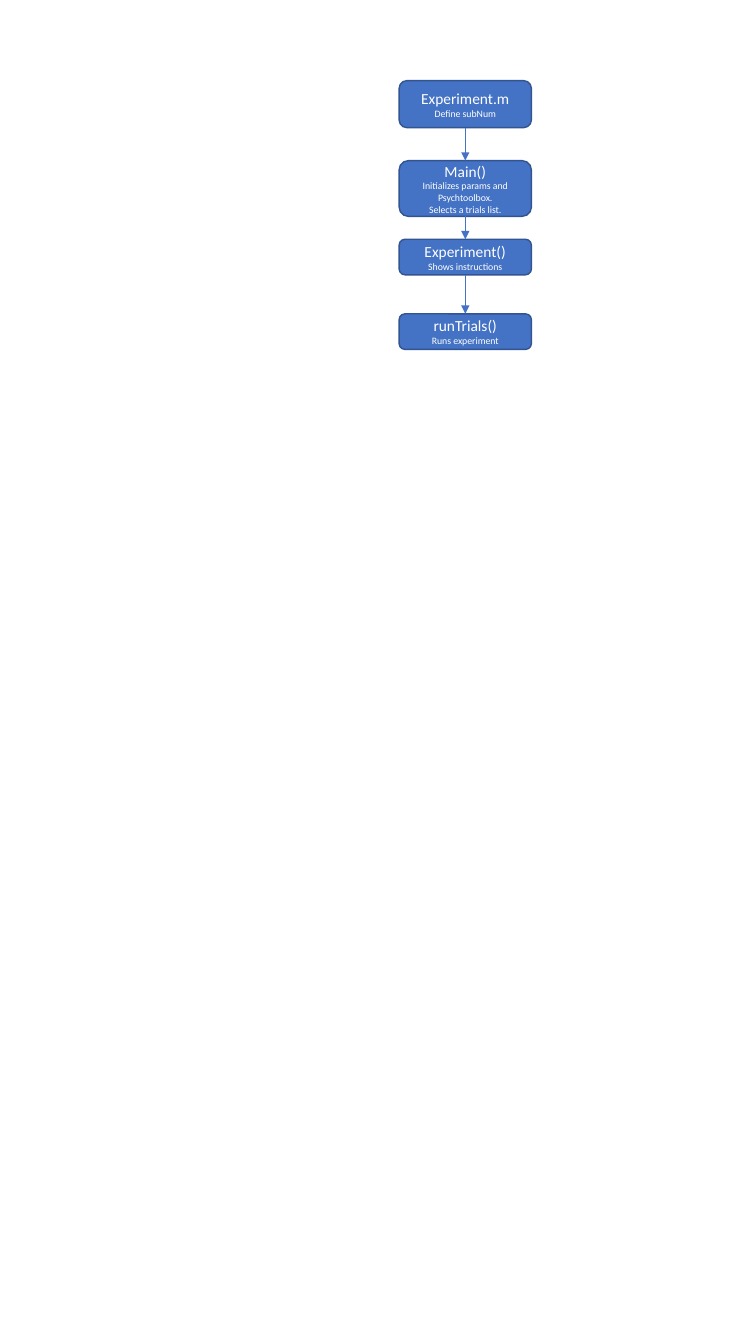
import pptx
import pptx.dml.color
import pptx.enum.shapes
import pptx.enum.text
import pptx.oxml.ns
import pptx.util
from lxml import etree

HUES = {"fill": "4472C4", "edge": "325491", "text": "FFFFFF"}
FONT = "Calibri"
ROWS = 200
STEPS = [
    (0, 35, ["Experiment.m", "Define subNum"]),
    (59.5, 41.5, ["Main()", "Initializes params and Psychtoolbox.", "Selects a trials list."]),
    (118, 26.5, ["Experiment()", "Shows instructions"]),
    (173.5, 26.5, ["runTrials()", "Runs experiment"]),
]


def hue(name):
    """Return the named colour."""
    return pptx.dml.color.RGBColor.from_string(HUES[name])


def add_step(slide, box, lines):
    """Draw one rounded step with a heading and its details."""
    kind = pptx.enum.shapes.MSO_SHAPE.ROUNDED_RECTANGLE
    step = slide.shapes.add_shape(kind, *map(round, box))
    step.shadow.inherit = False
    step.fill.solid()
    step.fill.fore_color.rgb = hue("fill")
    step.line.color.rgb = hue("edge")
    step.line.width = pptx.util.Pt(1)
    frame = step.text_frame
    frame.word_wrap = True
    frame.vertical_anchor = pptx.enum.text.MSO_ANCHOR.MIDDLE
    for index, line in enumerate(lines):
        para = frame.paragraphs[0] if index == 0 else frame.add_paragraph()
        para.text = line
        para.alignment = pptx.enum.text.PP_ALIGN.CENTER
        para.font.name = FONT
        para.font.size = pptx.util.Pt(7 if index else 11)
        para.font.color.rgb = hue("text")
    return step


def add_arrow(slide, start, end):
    """Join the bottom of one step to the top of the next."""
    kind = pptx.enum.shapes.MSO_CONNECTOR.STRAIGHT
    arrow = slide.shapes.add_connector(kind, 0, 0, 0, 0)
    arrow.begin_connect(start, 2)
    arrow.end_connect(end, 0)
    arrow.line.color.rgb = hue("fill")
    arrow.line.width = pptx.util.Pt(0.5)
    qn = pptx.oxml.ns.qn
    etree.SubElement(arrow.line._get_or_add_ln(), qn("a:tailEnd"), type="triangle")
    etree.SubElement(arrow._element.spPr, qn("a:effectLst"))


def add_flow(slide, box):
    """Stack the steps on the rows of the box and link them."""
    left, top, width, height = box
    row = height / ROWS
    steps = [
        add_step(slide, (left, top + start * row, width, span * row), lines)
        for start, span, lines in STEPS
    ]
    for start, end in zip(steps, steps[1:]):
        add_arrow(slide, start, end)


def main():
    """Build the slide and save it."""
    deck = pptx.Presentation()
    deck.slide_width = pptx.util.Inches(7.5)
    deck.slide_height = pptx.util.Inches(13.33)
    slide = deck.slides.add_slide(deck.slide_layouts[6])
    col, row = deck.slide_width / 100, deck.slide_height / 100
    add_flow(slide, (52.8 * col, 6 * row, 17.5 * col, 20 * row))
    deck.save("out.pptx")


if __name__ == "__main__":
    main()
